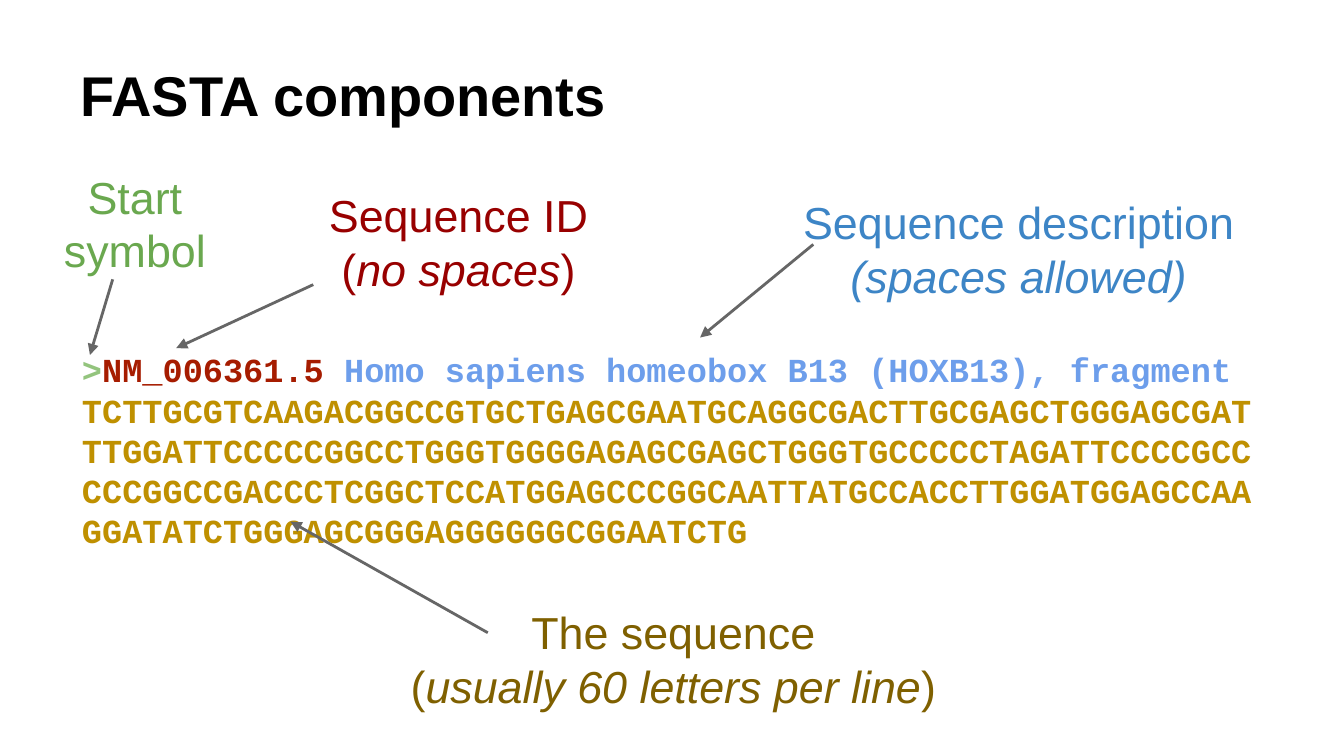
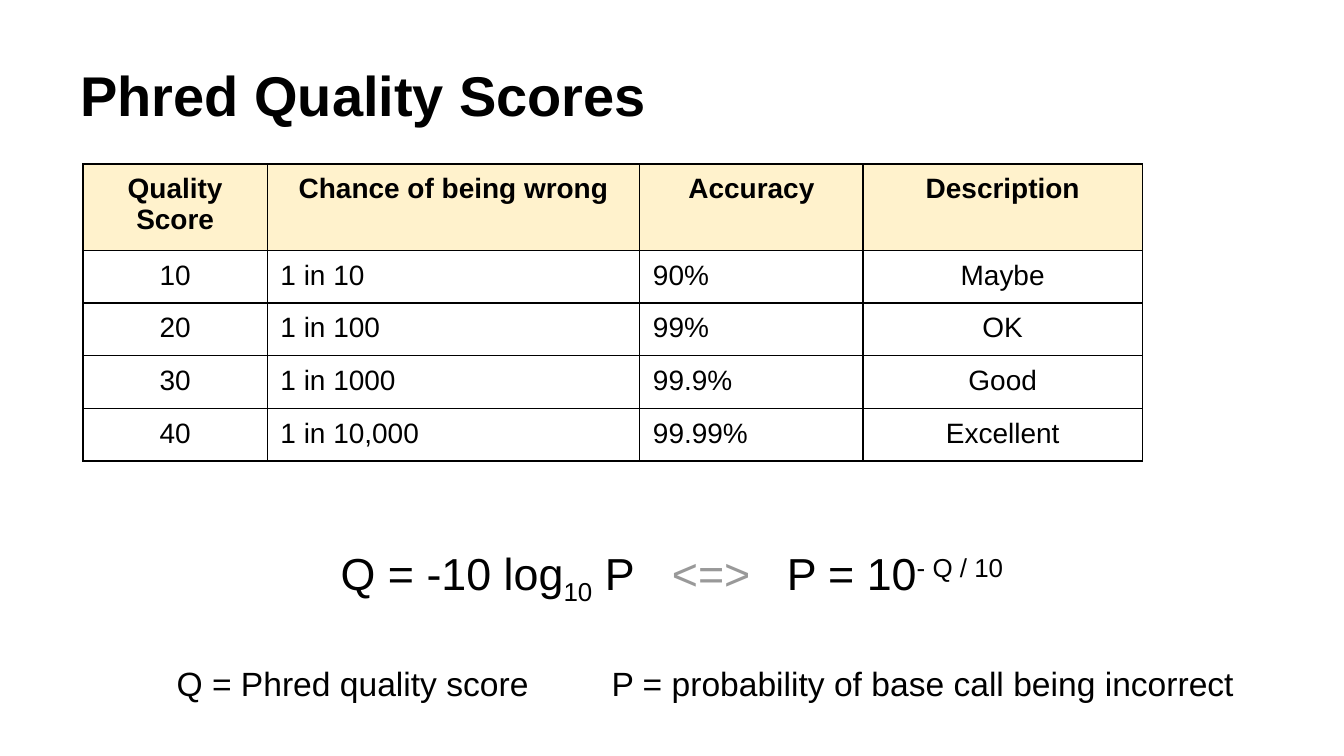
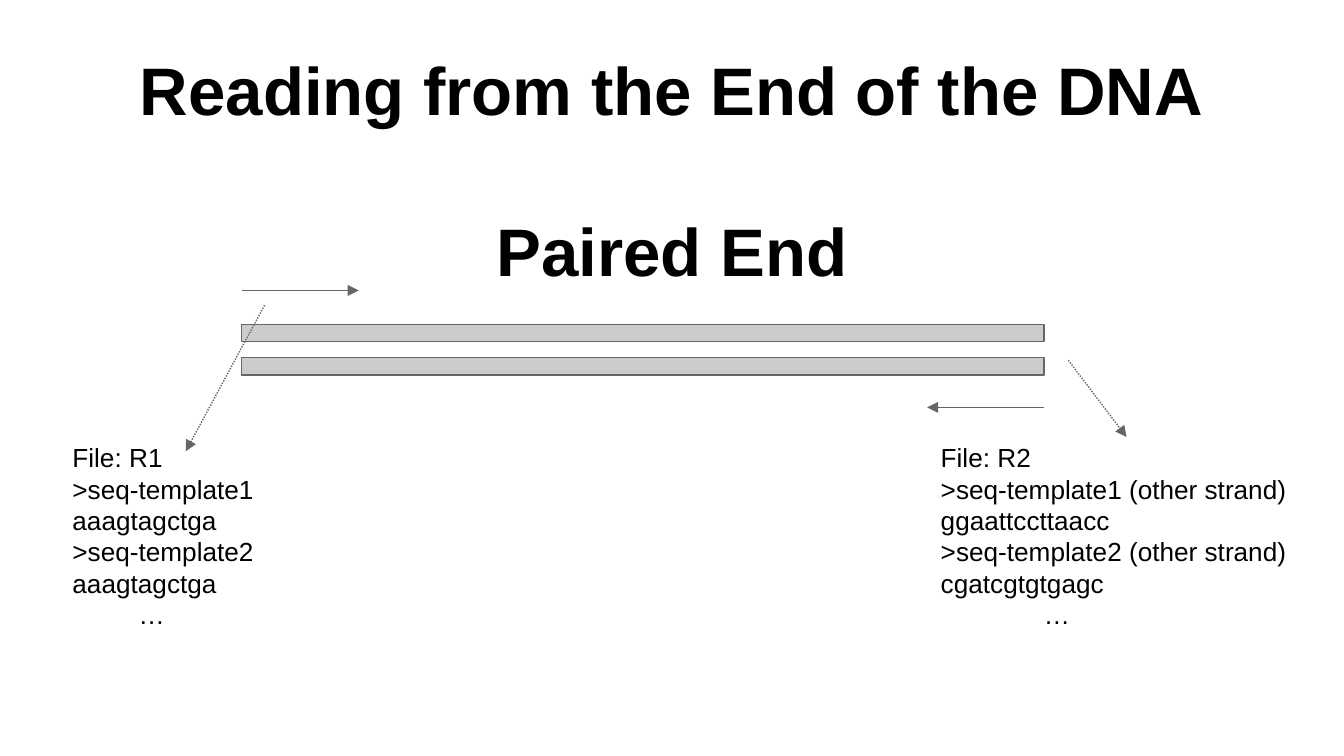
from dataclasses import dataclass

import lxml.etree
import pptx
import pptx.dml.color
import pptx.enum.dml
import pptx.enum.shapes
import pptx.enum.text
import pptx.oxml.ns
import pptx.util

Cm = pptx.util.Cm
Pt = pptx.util.Pt
RGBColor = pptx.dml.color.RGBColor
Align = pptx.enum.text.PP_ALIGN
Anchor = pptx.enum.text.MSO_ANCHOR
qn = pptx.oxml.ns.qn

BLACK = RGBColor(0x00, 0x00, 0x00)
DARK_GRAY = RGBColor(0x66, 0x66, 0x66)
MID_GRAY = RGBColor(0x99, 0x99, 0x99)
LIGHT_GRAY = RGBColor(0xCC, 0xCC, 0xCC)
CREAM = RGBColor(0xFF, 0xF2, 0xCC)
GREEN = RGBColor(0x6A, 0xA8, 0x4F)
PALE_GREEN = RGBColor(0x93, 0xC4, 0x7D)
RED = RGBColor(0x98, 0x00, 0x00)
BRIGHT_RED = RGBColor(0xA6, 0x1C, 0x00)
BLUE = RGBColor(0x3D, 0x85, 0xC6)
PALE_BLUE = RGBColor(0x6D, 0x9E, 0xEB)
BROWN = RGBColor(0x7F, 0x60, 0x00)
GOLD = RGBColor(0xBF, 0x90, 0x00)

SANS = "Arial"
MONO = "Courier New"
INSET = 0.25
LINE_HEIGHT = 1.2

SEQUENCE = (
    "TCTTGCGTCAAGACGGCCGTGCTGAGCGAATGCAGGCGACTTGCGAGCTGGGAGCGAT"
    "TTGGATTCCCCCGGCCTGGGTGGGGAGAGCGAGCTGGGTGCCCCCTAGATTCCCCGCC"
    "CCCGGCCGACCCTCGGCTCCATGGAGCCCGGCAATTATGCCACCTTGGATGGAGCCAA"
    "GGATATCTGGGAGCGGGAGGGGGGCGGAATCTG"
)
SCORES = [
    ("Quality\nScore", "Chance of being wrong", "Accuracy", "Description"),
    ("10", "1 in 10", "90%", "Maybe"),
    ("20", "1 in 100", "99%", "OK"),
    ("30", "1 in 1000", "99.9%", "Good"),
    ("40", "1 in 10,000", "99.99%", "Excellent"),
]


@dataclass
class Box:
    left: float
    top: float
    width: float
    height: float

    def lengths(self):
        return Cm(self.left), Cm(self.top), Cm(self.width), Cm(self.height)


TITLE_BOX = Box(1.27, 0.58, 22.86, 2.39)


def add_run(paragraph, text, size, color=BLACK, font=SANS, bold=False,
            italic=False, baseline=0):
    run = paragraph.add_run()
    run.text = text
    run.font.size = Pt(size)
    run.font.name = font
    run.font.bold = bold
    run.font.italic = italic
    run.font.color.rgb = color
    if baseline:
        run.font._element.set("baseline", str(baseline * 1000))


def add_text_box(slide, box, anchor=Anchor.TOP):
    frame = slide.shapes.add_textbox(*box.lengths()).text_frame
    frame.word_wrap = True
    frame.vertical_anchor = anchor
    frame.margin_left = frame.margin_right = Cm(INSET)
    frame.margin_top = frame.margin_bottom = Cm(INSET)
    return frame


def next_paragraph(frame, size, alignment=Align.LEFT, space_before=0):
    first = frame.paragraphs[0]
    paragraph = frame.add_paragraph() if first.runs else first
    paragraph.alignment = alignment
    paragraph.line_spacing = Pt(size * LINE_HEIGHT)
    paragraph.space_before = Pt(space_before)
    return paragraph


def set_tab_stops(paragraph, positions):
    properties = paragraph._p.get_or_add_pPr()
    tab_list = lxml.etree.SubElement(properties, qn("a:tabLst"))
    for position in positions:
        lxml.etree.SubElement(tab_list, qn("a:tab"), pos=str(Cm(position)), algn="l")


def add_arrow(slide, box, start, end, width=0.75, dotted=False):
    connector = slide.shapes.add_connector(
        pptx.enum.shapes.MSO_CONNECTOR.STRAIGHT,
        Cm(box.left + start[0]), Cm(box.top + start[1]),
        Cm(box.left + end[0]), Cm(box.top + end[1]),
    )
    connector.line.color.rgb = DARK_GRAY
    connector.line.width = Pt(width)
    if dotted:
        connector.line.dash_style = pptx.enum.dml.MSO_LINE.ROUND_DOT
    properties = connector._element.spPr
    lxml.etree.SubElement(properties.find(qn("a:ln")), qn("a:tailEnd"), type="triangle")
    lxml.etree.SubElement(properties, qn("a:effectLst"))


def add_title(slide, text):
    frame = add_text_box(slide, TITLE_BOX, Anchor.MIDDLE)
    add_run(next_paragraph(frame, 30), text, 30, bold=True)


def add_stacked_title(slide, box, title, subtitle):
    frame = add_text_box(slide, box, Anchor.BOTTOM)
    for text, space_before in ((title, 0), (subtitle, 36 * LINE_HEIGHT)):
        paragraph = next_paragraph(frame, 36, Align.CENTER, space_before)
        add_run(paragraph, text, 36, bold=True)


def add_callout(slide, box, color, lines, start, end):
    frame = add_text_box(slide, box)
    for line in lines:
        paragraph = next_paragraph(frame, 24, Align.CENTER)
        for text, italic in line:
            add_run(paragraph, text, 24, color, italic=italic)
    add_arrow(slide, box, start, end, width=1.5)


def add_fasta_record(slide, box):
    paragraph = next_paragraph(add_text_box(slide, box), 18)
    header = (
        (">", PALE_GREEN),
        ("NM_006361.5 ", BRIGHT_RED),
        ("Homo sapiens homeobox B13 (HOXB13), fragment", PALE_BLUE),
    )
    for text, color in header:
        add_run(paragraph, text, 18, color, MONO, bold=True)
    paragraph.add_line_break()
    add_run(paragraph, SEQUENCE, 18, GOLD, MONO, bold=True)


def set_cell_borders(cell):
    properties = cell._tc.get_or_add_tcPr()
    for index, side in enumerate(("a:lnL", "a:lnR", "a:lnT", "a:lnB")):
        line = lxml.etree.Element(qn(side), w=str(Pt(0.75)))
        fill = lxml.etree.SubElement(line, qn("a:solidFill"))
        lxml.etree.SubElement(fill, qn("a:srgbClr"), val=str(BLACK))
        properties.insert(index, line)


def fill_cell(cell, text, is_header, alignment):
    cell.margin_left = cell.margin_right = Cm(INSET)
    cell.margin_top = cell.margin_bottom = Cm(0.18)
    if is_header:
        cell.fill.solid()
        cell.fill.fore_color.rgb = CREAM
    else:
        cell.fill.background()
    for index, line in enumerate(text.split("\n")):
        frame = cell.text_frame
        paragraph = frame.add_paragraph() if index else frame.paragraphs[0]
        paragraph.alignment = alignment
        add_run(paragraph, line, 15, bold=is_header)
    set_cell_borders(cell)


def add_score_table(slide, box):
    shape = slide.shapes.add_table(len(SCORES), len(SCORES[0]), *box.lengths())
    table = shape.table
    table.horz_banding = False
    for column, width in zip(table.columns, (3.48, 7.04, 4.22, 5.28)):
        column.width = Cm(width)
    for row_index, values in enumerate(SCORES):
        is_header = row_index == 0
        table.rows[row_index].height = Cm(1.55 if is_header else 0.97)
        for column_index, text in enumerate(values):
            centered = is_header or column_index in (0, 3)
            alignment = Align.CENTER if centered else Align.LEFT
            fill_cell(table.cell(row_index, column_index), text, is_header, alignment)


def add_formula(slide, box):
    frame = add_text_box(slide, box)
    equation = next_paragraph(frame, 24)
    set_tab_stops(equation, (4.92, 11.18, 13.35))
    parts = (
        ("\tQ = -10 log", BLACK, 0),
        ("10", BLACK, -25),
        (" P\t", BLACK, 0),
        ("<=>", MID_GRAY, 0),
        ("\tP = 10", BLACK, 0),
        ("- Q / 10", BLACK, 30),
    )
    for text, color, baseline in parts:
        add_run(equation, text, 24, color, baseline=baseline)
    legend = next_paragraph(frame, 18, space_before=30)
    set_tab_stops(legend, (1.82, 10.04))
    add_run(legend, "\tQ = Phred quality score", 18)
    add_run(legend, "\tP = probability of base call being incorrect", 18)


def add_strands(slide, box):
    for offset in (0.64, 1.27):
        strand_box = Box(box.left, box.top + offset, box.width, 0.33)
        strand = slide.shapes.add_shape(
            pptx.enum.shapes.MSO_SHAPE.RECTANGLE, *strand_box.lengths())
        strand.shadow.inherit = False
        strand.fill.solid()
        strand.fill.fore_color.rgb = LIGHT_GRAY
        strand.line.color.rgb = DARK_GRAY
        strand.line.width = Pt(0.75)
    read_length = 2.21
    add_arrow(slide, box, (0, 0), (read_length, 0))
    add_arrow(slide, box, (box.width, box.height),
              (box.width - read_length, box.height))


def add_read_file(slide, box, lines, ellipsis_indent, start, end):
    frame = add_text_box(slide, box)
    for line in lines:
        add_run(next_paragraph(frame, 14), line, 14)
    ellipsis = next_paragraph(frame, 14)
    properties = ellipsis._p.get_or_add_pPr()
    properties.set("marL", str(Cm(ellipsis_indent)))
    properties.set("indent", "0")
    add_run(ellipsis, "…", 14)
    add_arrow(slide, box, start, end, dotted=True)


def build_fasta_slide(slide):
    add_title(slide, "FASTA components")
    add_fasta_record(slide, Box(1.3, 6.35, 22.86, 3.48))
    add_callout(slide, Box(0.43, 2.95, 4.24, 1.9), GREEN,
                [[("Start symbol", False)]], (1.7, 2.33), (1.27, 3.76))
    add_callout(slide, Box(5.87, 3.3, 5.59, 1.9), RED,
                [[("Sequence ID (", False), ("no spaces", True), (")", False)]],
                (0.05, 2.08), (-2.54, 3.28))
    add_callout(slide, Box(7.34, 11.18, 10.77, 2.74), BROWN,
                [[("The sequence", False)],
                 [("(", False), ("usually 60 letters per line", True), (")", False)]],
                (1.88, 0.78), (-1.85, -1.32))
    add_callout(slide, Box(14.88, 3.43, 8.74, 1.9), BLUE,
                [[("Sequence description", False)], [("(spaces allowed)", True)]],
                (0.49, 1.19), (-1.65, 2.95))


def build_phred_slide(slide):
    add_title(slide, "Phred Quality Scores")
    add_formula(slide, Box(1.27, 10.21, 22.86, 2.59))
    add_score_table(slide, Box(1.57, 3.1, 20.02, 5.43))


def build_paired_end_slide(slide):
    add_stacked_title(slide, Box(1.27, 3.35, 22.86, 2.39),
                      "Reading from the End of the DNA", "Paired End")
    add_strands(slide, Box(4.57, 5.49, 15.16, 2.21))
    add_read_file(slide, Box(1.12, 8.1, 4.78, 4.67),
                  ("File: R1", ">seq-template1", "aaagtagctga",
                   ">seq-template2", "aaagtagctga"),
                  1.25, (3.88, -2.33), (2.39, 0.43))
    add_read_file(slide, Box(17.53, 8.1, 7.19, 4.14),
                  ("File: R2", ">seq-template1 (other strand)", "ggaattccttaacc",
                   ">seq-template2 (other strand)", "cgatcgtgtgagc"),
                  1.95, (2.66, -1.29), (3.76, 0.16))


def main():
    presentation = pptx.Presentation()
    presentation.slide_width = Cm(25.4)
    presentation.slide_height = Cm(14.29)
    blank_layout = presentation.slide_layouts[6]
    for build in (build_fasta_slide, build_phred_slide, build_paired_end_slide):
        build(presentation.slides.add_slide(blank_layout))
    presentation.save("out.pptx")


if __name__ == "__main__":
    main()
